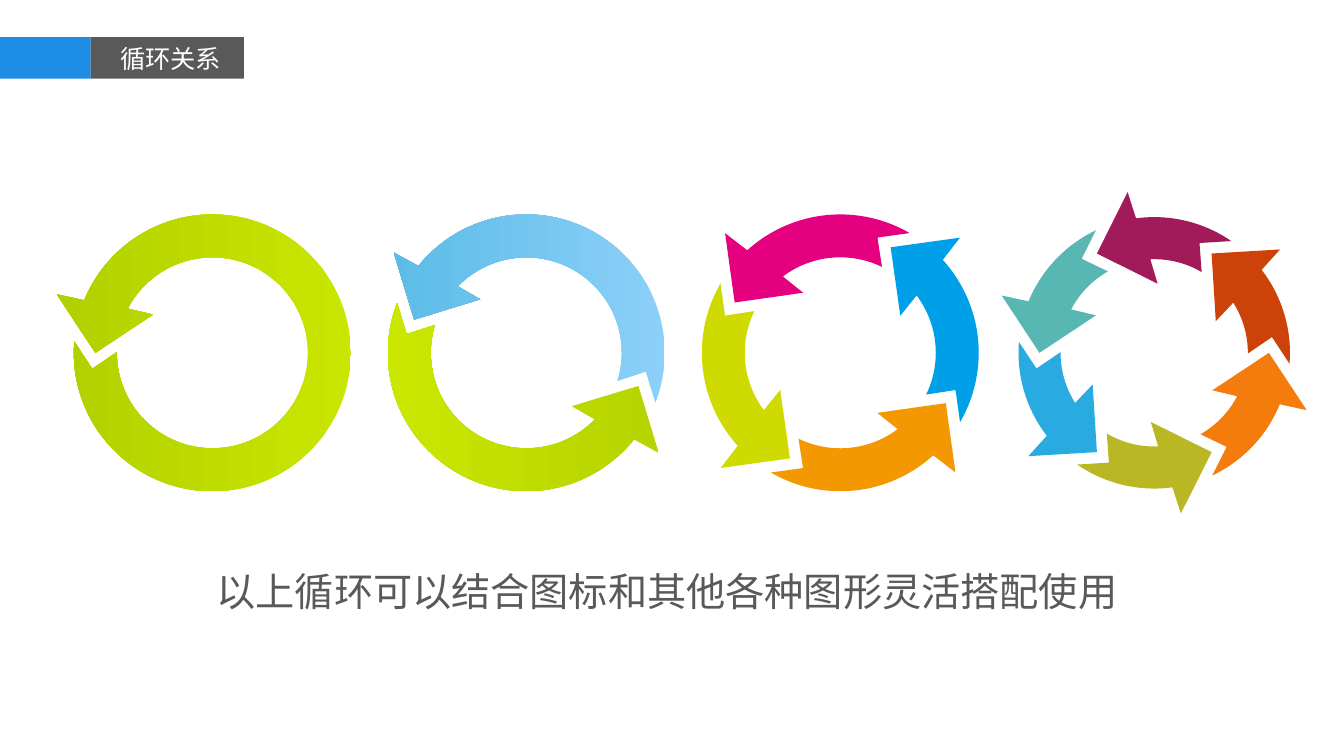
import dataclasses
import math

import pptx
import pptx.dml.color
import pptx.enum.shapes
import pptx.enum.text
import pptx.oxml.ns
import pptx.shapes.base
import pptx.slide
import pptx.text.text
import pptx.util

SLIDE_W = pptx.util.Inches(13.33)
SLIDE_H = pptx.util.Inches(7.5)
COL = SLIDE_W / 100
ROW = SLIDE_H / 100
FONT = "Arial"
WHITE, GREY, BLUE = "FFFFFF", "595959", "1D8DE5"

# Ring centres, in columns and rows
FIRST_CENTRE, CENTRE_PITCH, CENTRE_ROW = 15.8, 23.36, 46.67

# Arrow corners: (share of the ring radius, degrees clockwise from an arrow tip)
INNER = 0.69
HEAD = [(INNER, 27.6), (0.51, 32.8), (0.845, 0), (1.2, 20.6), (1, 22.3)]
TAIL = [(1, 4.6), (0.875, -7.6), (INNER, 0.4)]

Point = tuple[float, float]
Segment = list[Point]  # one point for a line, three for a curve


@dataclasses.dataclass(frozen=True)
class Box:
    """Left and width in columns, top and height in rows."""
    left: float
    top: float
    width: float
    height: float

    def emu(self) -> tuple[int, int, int, int]:
        return (round(self.left * COL), round(self.top * ROW),
                round(self.width * COL), round(self.height * ROW))


@dataclasses.dataclass(frozen=True)
class Bar:
    box: Box
    colour: str


@dataclasses.dataclass(frozen=True)
class Ring:
    """One arrow per entry of fills; two colours in an entry run right to left."""
    radius: float
    first_tip: float
    fills: list[tuple[str, ...]]


BARS = [
    Bar(Box(0, 4.93, 6.75, 5.47), BLUE),
    Bar(Box(6.75, 4.93, 11.4, 5.47), GREY),
]
RINGS = [
    Ring(10.3, 0, [("C9E600", "B2D000")]),
    Ring(10.3, 16.5, [("8BD0F9", "5DBCE6"), ("B6D400", "CAE701")]),
    Ring(10.3, 25.5, [("E4007F",), ("00A0E9",), ("F39800",), ("CFDB00",)]),
    Ring(10.1, 0, [("58B7B2",), ("A11B5A",), ("CC4209",),
                   ("F47C0D",), ("B9B824",), ("29ABE2",)]),
]


def rgb(colour: str) -> pptx.dml.color.RGBColor:
    return pptx.dml.color.RGBColor.from_string(colour)


def paint(sp: pptx.shapes.base.BaseShape, colours: tuple[str, ...]) -> None:
    sp.shadow.inherit = False
    sp.line.fill.background()
    if len(colours) == 1:
        sp.fill.solid()
        sp.fill.fore_color.rgb = rgb(colours[0])
        return
    sp.fill.gradient()
    sp.fill.gradient_angle = 180
    for stop, position, colour in zip(sp.fill.gradient_stops, (0, 1), colours):
        stop.position = position
        stop.color.rgb = rgb(colour)


def polar(radius: float, angle: float) -> Point:
    """Point at an angle measured clockwise from the left."""
    a = math.radians(angle)
    return -radius * math.cos(a), -radius * math.sin(a)


def arc(radius: float, start: float, end: float) -> list[Segment]:
    """Curves split at quadrant borders, so that no handle leaves the circle's box."""
    low, high = sorted((start, end))
    borders = [q * 90 for q in range(math.ceil(low / 90), math.ceil(high / 90))
               if q * 90 > low]
    angles = sorted([start, *borders, end], reverse=start > end)
    curves = []
    for a, b in zip(angles, angles[1:]):
        handle = 4 / 3 * math.tan(math.radians(b - a) / 4)
        (ax, ay), (bx, by) = polar(radius, a), polar(radius, b)
        curves.append([(ax - handle * ay, ay + handle * ax),
                       (bx + handle * by, by - handle * bx), (bx, by)])
    return curves


def arrow_outline(tip: float, sweep: float) -> list[Segment]:
    """Outline of an arrow whose tail hugs the tip one sweep behind it."""
    head = [(radius, tip + angle) for radius, angle in HEAD]
    tail = [(radius, tip + sweep + angle) for radius, angle in TAIL]
    return ([[polar(*corner)] for corner in head]
            + arc(1, head[-1][1], tail[0][1])
            + [[polar(*corner)] for corner in tail[1:]]
            + arc(INNER, tail[-1][1], head[0][1]))


def add_outline(s: pptx.slide.Slide, segments: list[Segment]) -> pptx.shapes.base.BaseShape:
    """Freeform in which each three-point segment is a Bézier curve."""
    builder = s.shapes.build_freeform(*segments[0][0])
    builder.add_line_segments([pt for seg in segments[1:] for pt in seg], close=True)
    sp = builder.convert_to_shape()
    path = sp.element.find(".//" + pptx.oxml.ns.qn("a:path"))
    lines = iter(path.findall(pptx.oxml.ns.qn("a:lnTo")))
    for segment in segments[1:]:
        first, *others = [next(lines) for _ in segment]
        if others:
            first.tag = pptx.oxml.ns.qn("a:cubicBezTo")
        for line in others:
            first.append(line[0])
            path.remove(line)
    return sp


def add_ring(s: pptx.slide.Slide, ring: Ring, centre: float) -> None:
    cx, cy, radius = centre * COL, CENTRE_ROW * ROW, ring.radius * COL
    sweep = 360 / len(ring.fills)
    for i, colours in enumerate(ring.fills):
        outline = arrow_outline(ring.first_tip + i * sweep, sweep)
        placed = [[(cx + radius * x, cy + radius * y) for x, y in seg] for seg in outline]
        paint(add_outline(s, placed), colours)


def add_bar(s: pptx.slide.Slide, bar: Bar) -> pptx.shapes.base.BaseShape:
    sp = s.shapes.add_shape(pptx.enum.shapes.MSO_SHAPE.RECTANGLE, *bar.box.emu())
    paint(sp, (bar.colour,))
    return sp


def write(tf: pptx.text.text.TextFrame, text: str, size: float, colour: str) -> None:
    tf.word_wrap = False
    tf.auto_size = pptx.enum.text.MSO_AUTO_SIZE.NONE
    tf.vertical_anchor = pptx.enum.text.MSO_ANCHOR.TOP
    p = tf.paragraphs[0]
    p.alignment = pptx.enum.text.PP_ALIGN.LEFT
    r = p.add_run()
    r.text = text
    r.font.name = FONT
    r.font.size = pptx.util.Pt(size)
    r.font.color.rgb = rgb(colour)


def main() -> None:
    prs = pptx.Presentation()
    prs.slide_width, prs.slide_height = SLIDE_W, SLIDE_H
    s = prs.slides.add_slide(prs.slide_layouts.get_by_name("Title Only"))
    s.background.fill.solid()
    s.background.fill.fore_color.rgb = rgb(WHITE)

    title = s.shapes.title
    title.left, title.top, title.width, title.height = Box(8.18, 5.07, 9.08, 5.33).emu()
    write(title.text_frame, "循环关系", 18, WHITE)
    for bar in BARS:
        title.element.addprevious(add_bar(s, bar).element)

    for i, ring in enumerate(RINGS):
        add_ring(s, ring, FIRST_CENTRE + i * CENTRE_PITCH)

    caption = s.shapes.add_textbox(*Box(15.38, 74.4, 69.24, 7.6).emu())
    write(caption.text_frame, "以上循环可以结合图标和其他各种图形灵活搭配使用", 28, GREY)

    prs.save("out.pptx")


if __name__ == "__main__":
    main()
